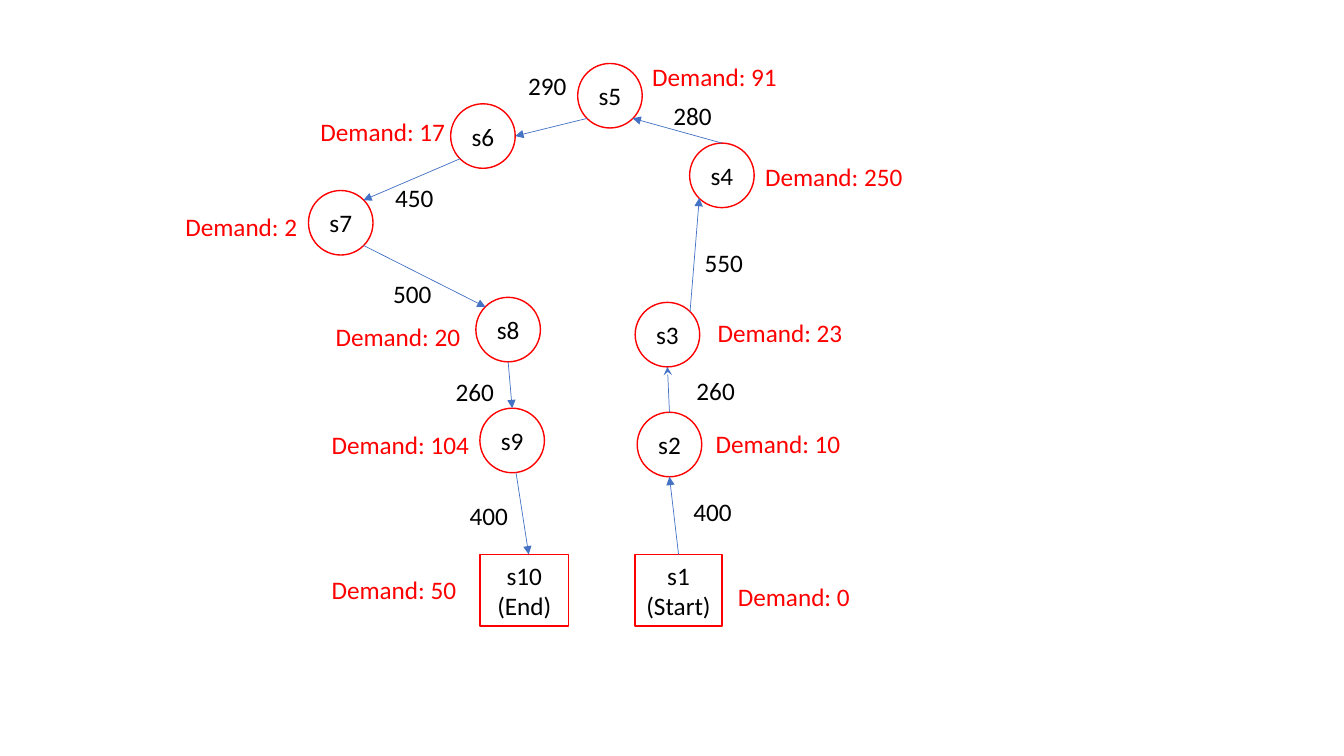
from collections import namedtuple

from lxml import etree
from pptx import Presentation
from pptx.dml.color import RGBColor
from pptx.enum.shapes import MSO_CONNECTOR, MSO_SHAPE
from pptx.enum.text import MSO_ANCHOR, PP_ALIGN
from pptx.oxml.ns import qn
from pptx.util import Inches, Pt

CIRCLE, RECTANGLE = MSO_SHAPE.OVAL, MSO_SHAPE.RECTANGLE
STRAIGHT = MSO_CONNECTOR.STRAIGHT
MIDDLE, TOP_ANCHOR = MSO_ANCHOR.MIDDLE, MSO_ANCHOR.TOP
CENTER, LEFT_ALIGN = PP_ALIGN.CENTER, PP_ALIGN.LEFT

COLUMNS, ROWS = 13.33, 7.5
RED, BLUE, BLACK = "FF0000", "4472C4", "000000"
FONT, FONT_SIZE = "Calibri", Pt(18)
DIAMETER, LABEL_HEIGHT = 0.64, 0.4
DISTANCE_WIDTH, DEMAND_WIDTH = 0.77, 1.87

TOP, BOTTOM, RIGHT = (0.5, 0), (0.5, 1), (1, 0.5)
TOP_LEFT, TOP_RIGHT = (0.15, 0.15), (0.85, 0.15)
BOTTOM_LEFT, BOTTOM_RIGHT = (0.15, 0.85), (0.85, 0.85)

Box = namedtuple("Box", "left top width height")
Stop = namedtuple("Stop", "caption kind place demand demand_at")
Leg = namedtuple("Leg", "start leaves end enters distance distance_at head")


def round_stop(name, left, top, demand, demand_at):
    """Describe a circular stop."""
    return Stop(name, CIRCLE, Box(left, top, DIAMETER, DIAMETER), demand, demand_at)


STOPS = {
    "s1": Stop("s1\n(Start)", RECTANGLE, Box(6.3, 5.5, 0.86, 0.71), 0, (7.22, 5.72)),
    "s2": round_stop("s2", 6.32, 4.09, 10, (7, 4.2)),
    "s3": round_stop("s3", 6.3, 3, 23, (7.02, 3.1)),
    "s4": round_stop("s4", 6.84, 1.42, 250, (7.49, 1.55)),
    "s5": round_stop("s5", 5.73, 0.63, 91, (6.37, 0.56)),
    "s6": round_stop("s6", 4.47, 1.03, 17, (3.08, 1.11)),
    "s7": round_stop("s7", 3.06, 1.89, 2, (1.74, 2.05)),
    "s8": round_stop("s8", 4.72, 2.95, 20, (3.23, 3.14)),
    "s9": round_stop("s9", 4.76, 4.05, 104, (3.19, 4.21)),
    "s10": Stop("s10\n(End)", RECTANGLE, Box(4.76, 5.5, 0.88, 0.71), 50, (3.19, 5.65)),
}

LEGS = [
    Leg("s1", TOP, "s2", BOTTOM, 400, (6.78, 4.87), "triangle"),
    Leg("s2", TOP, "s3", BOTTOM, 260, (6.81, 3.67), "stealth"),
    Leg("s3", TOP_RIGHT, "s4", BOTTOM_LEFT, 550, (6.89, 2.4), "triangle"),
    Leg("s4", TOP, "s5", BOTTOM_RIGHT, 280, (6.58, 0.95), "triangle"),
    Leg("s5", BOTTOM_LEFT, "s6", RIGHT, 290, (5.14, 0.65), "triangle"),
    Leg("s6", BOTTOM_LEFT, "s7", TOP_RIGHT, 450, (3.82, 1.76), "triangle"),
    Leg("s7", BOTTOM_RIGHT, "s8", TOP_LEFT, 500, (3.8, 2.71), "triangle"),
    Leg("s8", BOTTOM, "s9", TOP, 260, (4.42, 3.68), "triangle"),
    Leg("s9", (0.56, 1), "s10", (0.55, 0), 400, (4.56, 4.91), "triangle"),
]


def color(hex_string):
    """Turn a hex string into a colour."""
    return RGBColor.from_string(hex_string)


def apply(target, values):
    """Set each named attribute of the target."""
    for name, value in values.items():
        setattr(target, name, value)


def point(box, column, row):
    """Locate a grid point inside the box."""
    return (round(box.left + box.width * column / COLUMNS),
            round(box.top + box.height * row / ROWS))


def cell(box, place):
    """Locate a grid rectangle inside the box."""
    return (*point(box, place.left, place.top),
            round(box.width * place.width / COLUMNS),
            round(box.height * place.height / ROWS))


def site(place, share):
    """Find the grid point at a share of a stop's width and height."""
    return (place.left + place.width * share[0],
            place.top + place.height * share[1])


def write(frame, text, hex_string, align, anchor, wrap):
    """Fill a text frame with formatted text."""
    frame.text = text
    apply(frame, {"word_wrap": wrap, "vertical_anchor": anchor})
    for paragraph in frame.paragraphs:
        paragraph.alignment = align
        apply(paragraph.runs[0].font, {"name": FONT, "size": FONT_SIZE})
        paragraph.runs[0].font.color.rgb = color(hex_string)


def add_label(shapes, box, text, corner, width, hex_string):
    """Add a one-line label with its corner on the grid."""
    label = shapes.add_textbox(*cell(box, Box(*corner, width, LABEL_HEIGHT)))
    write(label.text_frame, text, hex_string, LEFT_ALIGN, TOP_ANCHOR, True)


def draw_stops(shapes, box):
    """Draw every stop with its demand."""
    for stop in STOPS.values():
        outline = shapes.add_shape(stop.kind, *cell(box, stop.place))
        outline.shadow.inherit = False
        outline.fill.background()
        outline.line.color.rgb = color(RED)
        outline.line.width = Pt(1)
        write(outline.text_frame, stop.caption, BLACK, CENTER, MIDDLE, False)
        add_label(shapes, box, f"Demand: {stop.demand}", stop.demand_at, DEMAND_WIDTH, RED)


def draw_legs(shapes, box):
    """Draw an arrow and a distance for every leg."""
    for leg in LEGS:
        start = point(box, *site(STOPS[leg.start].place, leg.leaves))
        end = point(box, *site(STOPS[leg.end].place, leg.enters))
        arrow = shapes.add_connector(STRAIGHT, *start, *end)
        arrow.line.color.rgb = color(BLUE)
        arrow.line.width = Pt(0.5)
        properties = arrow.element.spPr
        etree.SubElement(properties.find(qn("a:ln")), qn("a:tailEnd"), type=leg.head)
        etree.SubElement(properties, qn("a:effectLst"))
        add_label(shapes, box, str(leg.distance), leg.distance_at, DISTANCE_WIDTH, BLACK)


def draw_route(slide, box):
    """Draw the whole route as one group."""
    route = slide.shapes.add_group_shape().shapes
    draw_stops(route, box)
    draw_legs(route, box)


def main():
    """Build and save the deck."""
    deck = Presentation()
    apply(deck, {"slide_width": Inches(COLUMNS), "slide_height": Inches(ROWS)})
    slide = deck.slides.add_slide(deck.slide_layouts[6])
    draw_route(slide, Box(0, 0, deck.slide_width, deck.slide_height))
    deck.save("out.pptx")


main()
